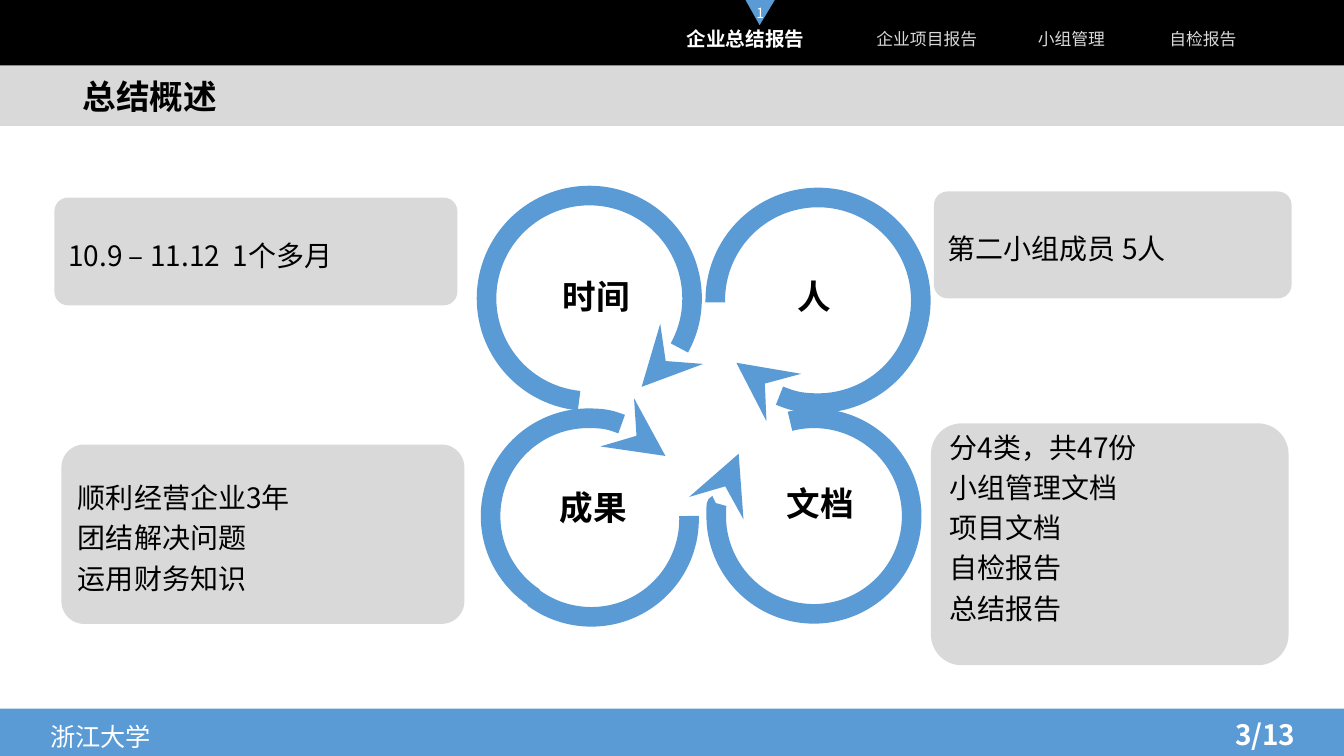
from dataclasses import dataclass

from lxml.etree import SubElement
from pptx import Presentation
from pptx.dml.color import RGBColor
from pptx.enum.shapes import MSO_SHAPE
from pptx.enum.text import MSO_ANCHOR, PP_ALIGN
from pptx.oxml.ns import qn
from pptx.shapes.autoshape import Shape
from pptx.slide import Slide
from pptx.util import Inches, Pt

FONT = "Noto Sans CJK SC"
BLUE = RGBColor(0x5B, 0x9B, 0xD5)
GREY = RGBColor(0xD9, 0xD9, 0xD9)
BLACK = RGBColor(0, 0, 0)
WHITE = RGBColor(0xFF, 0xFF, 0xFF)
WIDTH, HEIGHT = 13.34, 7.5


@dataclass(frozen=True)
class Area:
    left: float
    top: float
    width: float
    height: float


@dataclass(frozen=True)
class Style:
    size: int
    color: RGBColor = BLACK
    bold: bool = False
    align: PP_ALIGN = PP_ALIGN.LEFT
    spacing: float = 1.0
    anchor: MSO_ANCHOR = MSO_ANCHOR.MIDDLE


@dataclass(frozen=True)
class Label:
    text: str
    area: Area
    style: Style


@dataclass(frozen=True)
class Card:
    text: str
    area: Area
    bottom_inset: float = 0.05


@dataclass(frozen=True)
class Ring:
    center_x: float
    center_y: float
    diameter: float
    start: float
    end: float
    arrow: bool = True


CENTER = PP_ALIGN.CENTER
ACTIVE_TAB = Style(14, WHITE, True, CENTER)
TAB = Style(12, GREY, False, CENTER)
MARKER = Style(10, WHITE, False, CENTER)
RING_NAME = Style(24, BLACK, True, CENTER, 1.2, MSO_ANCHOR.TOP)
CARD_TEXT = Style(20, spacing=1.2)
TITLE = Style(24, bold=True, spacing=0.9)
SCHOOL = Style(18, WHITE, spacing=1.2, anchor=MSO_ANCHOR.TOP)
PAGE_NUMBER = Style(20, WHITE, True, anchor=MSO_ANCHOR.TOP)

BARS = [
    (Area(0, 0.6, WIDTH, 0.65), GREY),
    (Area(0, 0, WIDTH, 0.65), BLACK),
    (Area(0, 7.03, WIDTH, 0.47), BLUE),
]
LABELS = [
    Label("浙江大学", Area(0.4, 7.05, 1.9, 0.46), SCHOOL),
    Label("3/13", Area(12.16, 7.07, 1.15, 0.44), PAGE_NUMBER),
    Label("企业总结报告", Area(6.56, 0.15, 1.68, 0.47), ACTIVE_TAB),
    Label("企业项目报告", Area(8.53, 0.18, 1.34, 0.41), TAB),
    Label("小组管理", Area(9.91, 0.15, 1.45, 0.47), TAB),
    Label("自检报告", Area(11.39, 0.15, 1.1, 0.47), TAB),
    Label("文档", Area(7.29, 4.66, 1.7, 0.58), RING_NAME),
    Label("人", Area(7.23, 2.61, 1.7, 0.58), RING_NAME),
    Label("成果", Area(5.04, 4.7, 1.7, 0.58), RING_NAME),
    Label("时间", Area(5.07, 2.61, 1.7, 0.58), RING_NAME),
]
RINGS = [
    Ring(8.08, 5.12, 1.94, 255.8, 219.6),
    Ring(8.12, 2.98, 2.04, 178.9, 142.6),
    Ring(5.87, 5.15, 1.94, 358.2, 126.6, arrow=False),
    Ring(5.84, 5.12, 1.94, 123.7, 322.1),
    Ring(5.85, 2.96, 2.04, 95.7, 59.4),
]
CARDS = [
    Card("第二小组成员 5人", Area(9.27, 1.9, 3.55, 1.06)),
    Card("顺利经营企业3年\n团结解决问题\n运用财务知识", Area(0.61, 4.41, 4, 1.78)),
    Card("10.9 – 11.12  1个多月", Area(0.54, 1.96, 4, 1.07)),
    Card("分4类，共47份\n小组管理文档\n项目文档\n自检报告\n总结报告",
         Area(9.24, 4.2, 3.55, 2.4), bottom_inset=0.45),
]


def lengths(area: Area) -> tuple[int, int, int, int]:
    return Inches(area.left), Inches(area.top), Inches(area.width), Inches(area.height)


def write(shape: Shape, text: str, style: Style) -> None:
    frame = shape.text_frame
    frame.text = text
    frame.word_wrap = True
    frame.vertical_anchor = style.anchor
    for para in frame.paragraphs:
        para.alignment = style.align
        para.line_spacing = style.spacing
        para.space_before = Pt(0)
        font = para.font
        font.size = Pt(style.size)
        font.bold = style.bold
        font.color.rgb = style.color
        font.name = FONT
        defaults = para._p.pPr.find(qn("a:defRPr"))
        SubElement(defaults, qn("a:ea"), typeface=FONT)


def paint(shape: Shape, color: RGBColor) -> None:
    shape.shadow.inherit = False
    shape.fill.solid()
    shape.fill.fore_color.rgb = color
    shape.line.fill.background()


def draw_bar(page: Slide, area: Area, color: RGBColor) -> None:
    paint(page.shapes.add_shape(MSO_SHAPE.RECTANGLE, *lengths(area)), color)


def draw_label(page: Slide, label: Label) -> None:
    write(page.shapes.add_textbox(*lengths(label.area)), label.text, label.style)


def draw_card(page: Slide, card: Card) -> None:
    box = page.shapes.add_shape(MSO_SHAPE.ROUNDED_RECTANGLE, *lengths(card.area))
    box.adjustments[0] = 0.127
    paint(box, GREY)
    write(box, card.text, CARD_TEXT)
    box.text_frame.margin_bottom = Inches(card.bottom_inset)


def draw_ring(page: Slide, ring: Ring) -> None:
    radius = ring.diameter / 2
    area = Area(ring.center_x - radius, ring.center_y - radius, ring.diameter, ring.diameter)
    arc = page.shapes.add_shape(MSO_SHAPE.ARC, *lengths(area))
    arc.adjustments[0] = ring.start * 0.6
    arc.adjustments[1] = ring.end * 0.6
    arc.shadow.inherit = False
    arc.fill.background()
    arc.line.color.rgb = BLUE
    arc.line.width = Pt(14)
    if ring.arrow:
        SubElement(arc.line._get_or_add_ln(), qn("a:tailEnd"), type="stealth")


def draw_marker(page: Slide) -> None:
    outline = page.shapes.build_freeform(Inches(7.4), 0)
    outline.add_line_segments([(Inches(7.69), 0), (Inches(7.54), Inches(0.25))])
    marker = outline.convert_to_shape()
    paint(marker, BLUE)
    write(marker, "1", MARKER)


def place_title(page: Slide) -> None:
    title = page.shapes.title
    title.left, title.top, title.width, title.height = lengths(Area(0.72, 0.74, 4.25, 0.47))
    write(title, "总结概述", TITLE)
    title.element.getparent().append(title.element)


def main() -> None:
    deck = Presentation()
    deck.slide_width, deck.slide_height = Inches(WIDTH), Inches(HEIGHT)
    page = deck.slides.add_slide(deck.slide_layouts[5])
    for area, color in BARS:
        draw_bar(page, area, color)
    place_title(page)
    draw_marker(page)
    for ring in RINGS:
        draw_ring(page, ring)
    for card in CARDS:
        draw_card(page, card)
    for label in LABELS:
        draw_label(page, label)
    deck.save("out.pptx")


if __name__ == "__main__":
    main()
